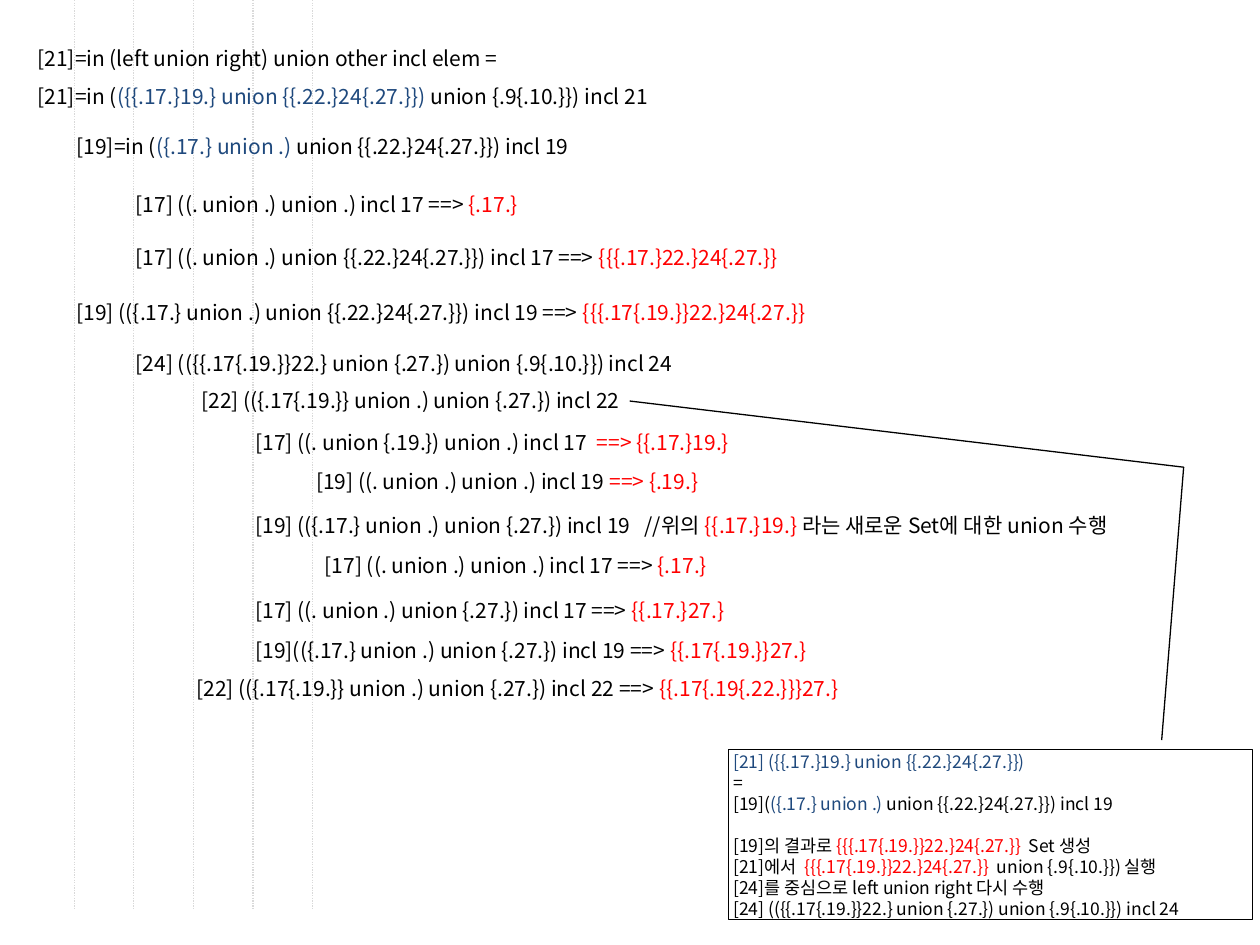
import pptx
import pptx.util
import pptx.dml.color
import pptx.enum.dml
import pptx.enum.shapes
import pptx.enum.text
import pptx.oxml.ns
import lxml.etree

Inches = pptx.util.Inches
Pt = pptx.util.Pt
RGBColor = pptx.dml.color.RGBColor
BLACK = RGBColor(0x00, 0x00, 0x00)
BLUE = RGBColor(0x1F, 0x49, 0x7D)
RED = RGBColor(0xFF, 0x00, 0x00)
GREY = RGBColor(0xD9, 0xD9, 0xD9)
FONT = "Noto Sans CJK KR"
qn = pptx.oxml.ns.qn

deck = pptx.Presentation()
deck.slide_width = Inches(10)
deck.slide_height = Inches(7.5)
slide = deck.slides.add_slide(deck.slide_layouts[6])
shapes = slide.shapes


def add_runs(para, parts, size):
    """Write (text, colour) parts as runs of one paragraph."""
    for text, color in parts:
        run = para.add_run()
        run.text = text
        run.font.size = Pt(size)
        run.font.name = FONT
        run.font.color.rgb = color
        east = lxml.etree.SubElement(run.font._element, qn("a:ea"))
        east.set("typeface", FONT)


def fill_frame(frame, paras, size):
    """Write a list of paragraphs into a text frame."""
    for i, parts in enumerate(paras):
        para = frame.paragraphs[0] if i == 0 else frame.add_paragraph()
        para.alignment = pptx.enum.text.PP_ALIGN.LEFT
        add_runs(para, parts, size)


# Dotted indent guides
for i in range(5):
    x = Inches(0.59 + 0.4725 * i)
    guide = shapes.add_connector(
        pptx.enum.shapes.MSO_CONNECTOR.STRAIGHT, x, 0, x, Inches(7.21))
    guide.line.color.rgb = GREY
    guide.line.width = Pt(0.75)
    guide.line.dash_style = pptx.enum.dml.MSO_LINE.ROUND_DOT
    lxml.etree.SubElement(guide._element.spPr, qn("a:effectLst"))

# Evaluation steps: left, top, width, height, wrap, paragraphs
steps = [
    (0.2, 0.21, 8.74, 0.71, True, [
        [("[21]=in (left union right) union other incl elem = ", BLACK)],
        [("[21]=in (", BLACK),
         ("({{.17.}19.} union {{.22.}24{.27.}})", BLUE),
         (" union {.9{.10.}}) incl 21", BLACK)]]),
    (0.51, 1.01, 5, 0.3, True, [
        [("[19]=in (", BLACK), ("({.17.} union .)", BLUE),
         (" union {{.22.}24{.27.}}) incl 19", BLACK)]]),
    (0.98, 1.47, 3.38, 0.3, False, [
        [("[17] ((. union .) union .) incl 17 ==> ", BLACK),
         ("{.17.}", RED)]]),
    (0.98, 1.89, 5.69, 0.3, True, [
        [("[17] ((. union .) union {{.22.}24{.27.}}) incl 17 ==> ", BLACK),
         ("{{{.17.}22.}24{.27.}}", RED)]]),
    (0.51, 2.33, 7.4, 0.3, True, [
        [("[19] (({.17.} union .) union {{.22.}24{.27.}}) incl 19 ==> ", BLACK),
         ("{{{.17{.19.}}22.}24{.27.}}", RED)]]),
    (0.98, 2.73, 5, 0.3, True, [
        [("[24] (({{.17{.19.}}22.} union {.27.}) union {.9{.10.}}) incl 24",
          BLACK)]]),
    (1.5, 3.03, 5, 0.3, True, [
        [("[22] (({.17{.19.}} union .) union {.27.}) incl 22", BLACK)]]),
    (1.93, 3.36, 4.08, 0.3, False, [
        [("[17] ((. union {.19.}) union .) incl 17  ", BLACK),
         ("==> {{.17.}19.}", RED)]]),
    (2.41, 3.67, 3.38, 0.3, False, [
        [("[19] ((. union .) union .) incl 19 ", BLACK),
         ("==> {.19.}", RED)]]),
    (1.93, 4.02, 7.32, 0.5, True, [
        [("[19] (({.17.} union .) union {.27.}) incl 19   //위의 ", BLACK),
         ("{{.17.}19.} ", RED),
         ("라는 새로운 Set에 대한 union 수행", BLACK)]]),
    (2.48, 4.34, 3.38, 0.3, False, [
        [("[17] ((. union .) union .) incl 17 ==> ", BLACK),
         ("{.17.}", RED)]]),
    (1.93, 4.69, 5, 0.3, True, [
        [("[17] ((. union .) union {.27.}) incl 17 ==> ", BLACK),
         ("{{.17.}27.}", RED)]]),
    (1.93, 5.01, 5, 0.3, True, [
        [("[19](({.17.} union .) union {.27.}) incl 19 ==> ", BLACK),
         ("{{.17{.19.}}27.}", RED)]]),
    (1.46, 5.31, 7.01, 0.3, True, [
        [("[22] (({.17{.19.}} union .) union {.27.}) incl 22 ==> ", BLACK),
         ("{{.17{.19{.22.}}}27.}", RED)]]),
]
for left, top, width, height, wrap, paras in steps:
    box = shapes.add_textbox(
        Inches(left), Inches(top), Inches(width), Inches(height))
    frame = box.text_frame
    frame.word_wrap = wrap
    frame.auto_size = pptx.enum.text.MSO_AUTO_SIZE.SHAPE_TO_FIT_TEXT
    fill_frame(frame, paras, 12)
    if len(paras) > 1:
        for para in frame.paragraphs:
            para.line_spacing = 1.5

# Callout that explains step 22
note = shapes.add_shape(
    pptx.enum.shapes.MSO_SHAPE.LINE_CALLOUT_2,
    Inches(5.78), Inches(5.95), Inches(4.16), Inches(1.35))
for i, value in enumerate([-0.057, 0.827, -1.661, 0.869, -2.05, -0.188]):
    note.adjustments[i] = value
note.shadow.inherit = False
note.fill.background()
note.line.color.rgb = BLACK
note.line.width = Pt(0.75)
frame = note.text_frame
frame.word_wrap = True
frame.vertical_anchor = pptx.enum.text.MSO_ANCHOR.MIDDLE
frame.margin_left = frame.margin_right = Inches(0.04)
frame.margin_top = frame.margin_bottom = 0
fill_frame(frame, [
    [("[21] ({{.17.}19.} union {{.22.}24{.27.}})", BLUE)],
    [("= ", BLACK)],
    [("[19](", BLACK), ("({.17.} union .)", BLUE),
     (" union {{.22.}24{.27.}}) incl 19", BLACK)],
    [("[19]의 결과로 ", BLACK), ("{{{.17{.19.}}22.}24{.27.}}  ", RED),
     ("Set 생성", BLACK)],
    [("[21]에서  ", BLACK), ("{{{.17{.19.}}22.}24{.27.}}  ", RED),
     ("union {.9{.10.}}) 실행", BLACK)],
    [("[24]를 중심으로 left union right 다시 수행", BLACK)],
    [("[24] (({{.17{.19.}}22.} union {.27.}) union {.9{.10.}}) incl 24",
      BLACK)],
], 10)
frame.paragraphs[3].space_before = Pt(12)

deck.save("out.pptx")
